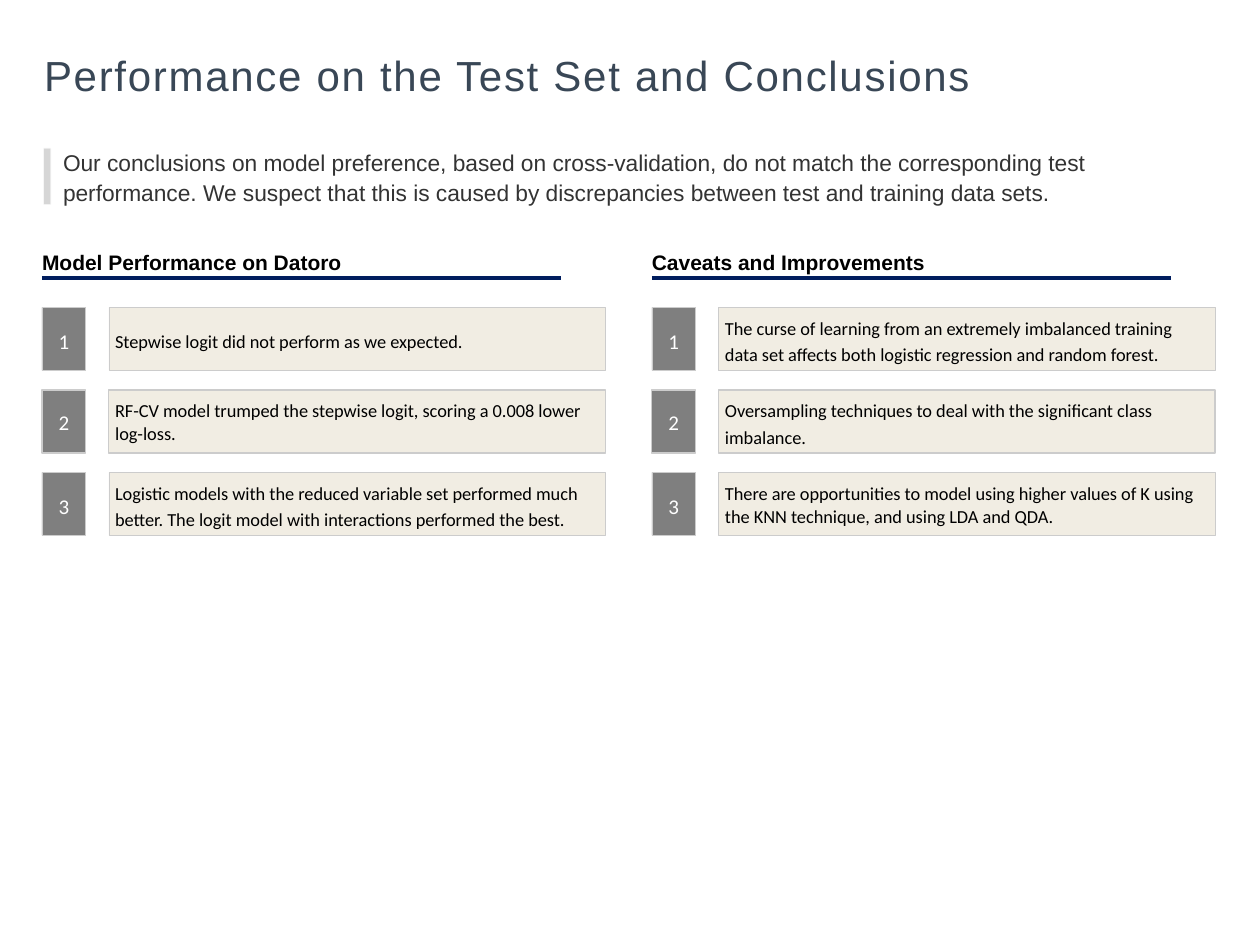
"""Build the slide on test set performance and conclusions."""
from dataclasses import dataclass

from lxml import etree
from pptx import Presentation
from pptx.dml.color import RGBColor
from pptx.enum.shapes import MSO_CONNECTOR, MSO_SHAPE
from pptx.enum.text import MSO_ANCHOR, PP_ALIGN
from pptx.oxml.ns import qn
from pptx.util import Pt

RECT = MSO_SHAPE.RECTANGLE
LINE = MSO_CONNECTOR.STRAIGHT
TOP, MIDDLE, BOTTOM = MSO_ANCHOR.TOP, MSO_ANCHOR.MIDDLE, MSO_ANCHOR.BOTTOM
LEFT, CENTER = PP_ALIGN.LEFT, PP_ALIGN.CENTER

COLORS = {
    "title": "394756", "lead": "333333", "bar": "D6D6D6", "rule": "001D5E",
    "badge": "7F7F7F", "box": "F1EDE3", "edge": "CCCCCC",
    "black": "000000", "white": "FFFFFF",
}
COL_X, COL_STEP = 24, 348.5
ROW_Y, ROW_STEP, ROW_H = 175.7, 47.15, 36
BADGE_W, BOX_DX, BOX_W = 25, 38.2, 283.7
HEAD_Y, HEAD_W, HEAD_H = 141.8, 290, 18
RULE_Y, RULE_W = 158.8, 296.5


@dataclass(frozen=True)
class Style:
    size: float
    color: str
    font: str = "Arial"
    bold: bool = False
    align: PP_ALIGN = LEFT
    anchor: MSO_ANCHOR = TOP
    inset: tuple = (0, 0, 0, 0)
    pitch: float = 1
    before: float = 0
    after: float = 0
    track: float = 0


@dataclass(frozen=True)
class Item:
    text: str
    pitch: float = 1.2
    edge: float = 0.25
    mark: float = 1.2


@dataclass(frozen=True)
class Column:
    head: str
    items: tuple


PAD = (3.6, 3.6, 3.6, 3.6)
TITLE = Style(24, "title", anchor=BOTTOM, track=1)
LEAD = Style(13, "lead", anchor=MIDDLE, inset=(3.6, 3.6, 7.2, 3.6), pitch=1.1)
HEAD = Style(12, "black", bold=True, pitch=1.07, after=8)

COLUMNS = (
    Column("Model Performance on Datoro", (
        Item("Stepwise logit did not perform as we expected."),
        Item("RF-CV model trumped the stepwise logit, scoring a 0.008 lower "
             "log-loss.", 1.05, 0.75, 1.05),
        Item("Logistic models with the reduced variable set performed much "
             "better. The logit model with interactions performed the best."),
    )),
    Column("Caveats and Improvements", (
        Item("The curse of learning from an extremely imbalanced training "
             "data set affects both logistic regression and random forest."),
        Item("Oversampling techniques to deal with the significant class "
             "imbalance.", 1.2, 0.75, 1.05),
        Item("There are opportunities to model using higher values of K using "
             "the KNN technique, and using LDA and QDA.", 1.05),
    )),
)


def tint(name: str) -> RGBColor:
    """Return a named colour."""
    return RGBColor.from_string(COLORS[name])


def write(shape, text: str, style: Style) -> None:
    """Set and format the text of a shape."""
    frame = shape.text_frame
    frame.text = text
    frame.word_wrap = True
    frame.vertical_anchor = style.anchor
    (frame.margin_left, frame.margin_top,
     frame.margin_right, frame.margin_bottom) = map(Pt, style.inset)
    para = frame.paragraphs[0]
    para.alignment = style.align
    para.line_spacing = style.pitch
    para.space_before = Pt(style.before)
    para.space_after = Pt(style.after)
    run = para.runs[0]
    run.font.name = style.font
    run.font.size = Pt(style.size)
    run.font.bold = style.bold
    run.font.color.rgb = tint(style.color)
    if style.track:
        run.font._element.set("spc", str(round(style.track * 100)))


def label(slide, area: tuple, text: str, style: Style) -> None:
    """Add a text box."""
    write(slide.shapes.add_textbox(*map(Pt, area)), text, style)


def block(slide, area: tuple, fill: str, edge: str, width: float):
    """Add a filled rectangle with an outline."""
    shape = slide.shapes.add_shape(RECT, *map(Pt, area))
    shape.shadow.inherit = False
    shape.fill.solid()
    shape.fill.fore_color.rgb = tint(fill)
    shape.line.color.rgb = tint(edge)
    shape.line.width = Pt(width)
    return shape


def rule(slide, x: float, y: float, length: float) -> None:
    """Add a horizontal rule."""
    line = slide.shapes.add_connector(LINE, Pt(x), Pt(y), Pt(x + length), Pt(y))
    line.line.color.rgb = tint("rule")
    line.line.width = Pt(2.25)
    etree.SubElement(line._element.spPr, qn("a:effectLst"))


def row(slide, x: float, y: float, number: int, item: Item) -> None:
    """Add a numbered badge and its statement."""
    badge = block(slide, (x, y, BADGE_W, ROW_H), "badge", "edge", item.edge)
    write(badge, str(number), Style(12, "white", "Calibri", align=CENTER,
                                    anchor=MIDDLE, inset=PAD,
                                    pitch=item.mark, before=3))
    box = block(slide, (x + BOX_DX, y, BOX_W, ROW_H), "box", "edge", item.edge)
    write(box, item.text, Style(10.5, "black", "Calibri", anchor=MIDDLE,
                                inset=PAD, pitch=item.pitch, before=3))


def main() -> None:
    """Build and save the slide."""
    deck = Presentation()
    deck.slide_width, deck.slide_height = Pt(720), Pt(540)
    slide = deck.slides.add_slide(deck.slide_layouts[6])
    label(slide, (25.2, 15.1, 669.6, 41.8),
          "Performance on the Test Set and Conclusions", TITLE)
    label(slide, (32.4, 79.2, 661.7, 43.2),
          "Our conclusions on model preference, based on cross-validation, do "
          "not match the corresponding test performance. We suspect that this "
          "is caused by discrepancies between test and training data sets.",
          LEAD)
    bar = block(slide, (25.2, 85, 3.6, 31.7), "bar", "bar", 1)
    for color in bar.line._ln.iter(qn("a:srgbClr")):
        etree.SubElement(color, qn("a:alpha")).set("val", "20000")
    for place, column in enumerate(COLUMNS):
        x = COL_X + place * COL_STEP
        rule(slide, x, RULE_Y, RULE_W)
        label(slide, (x, HEAD_Y, HEAD_W, HEAD_H), column.head, HEAD)
        for index, item in enumerate(column.items):
            row(slide, x, ROW_Y + index * ROW_STEP, index + 1, item)
    deck.save("out.pptx")


if __name__ == "__main__":
    main()
